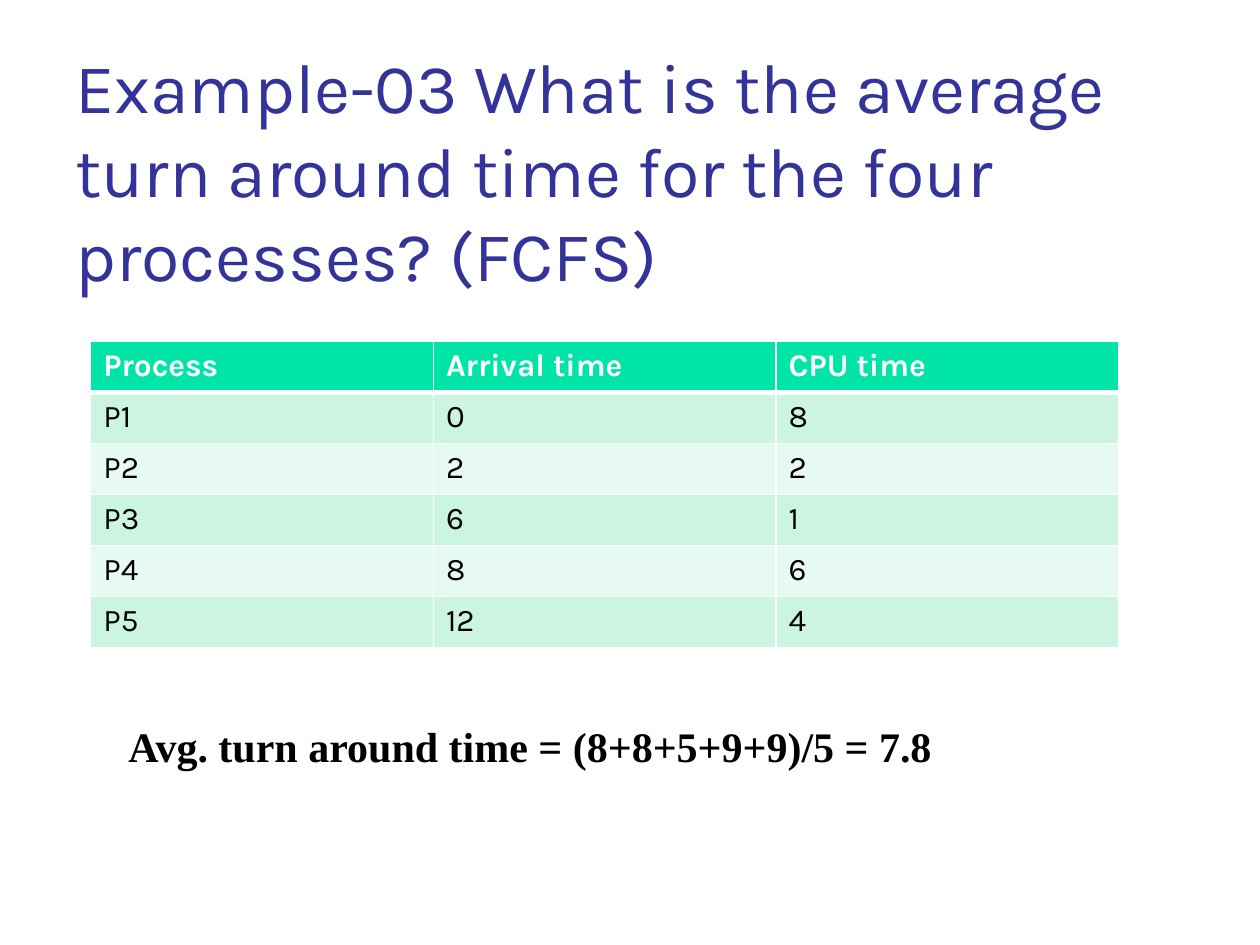
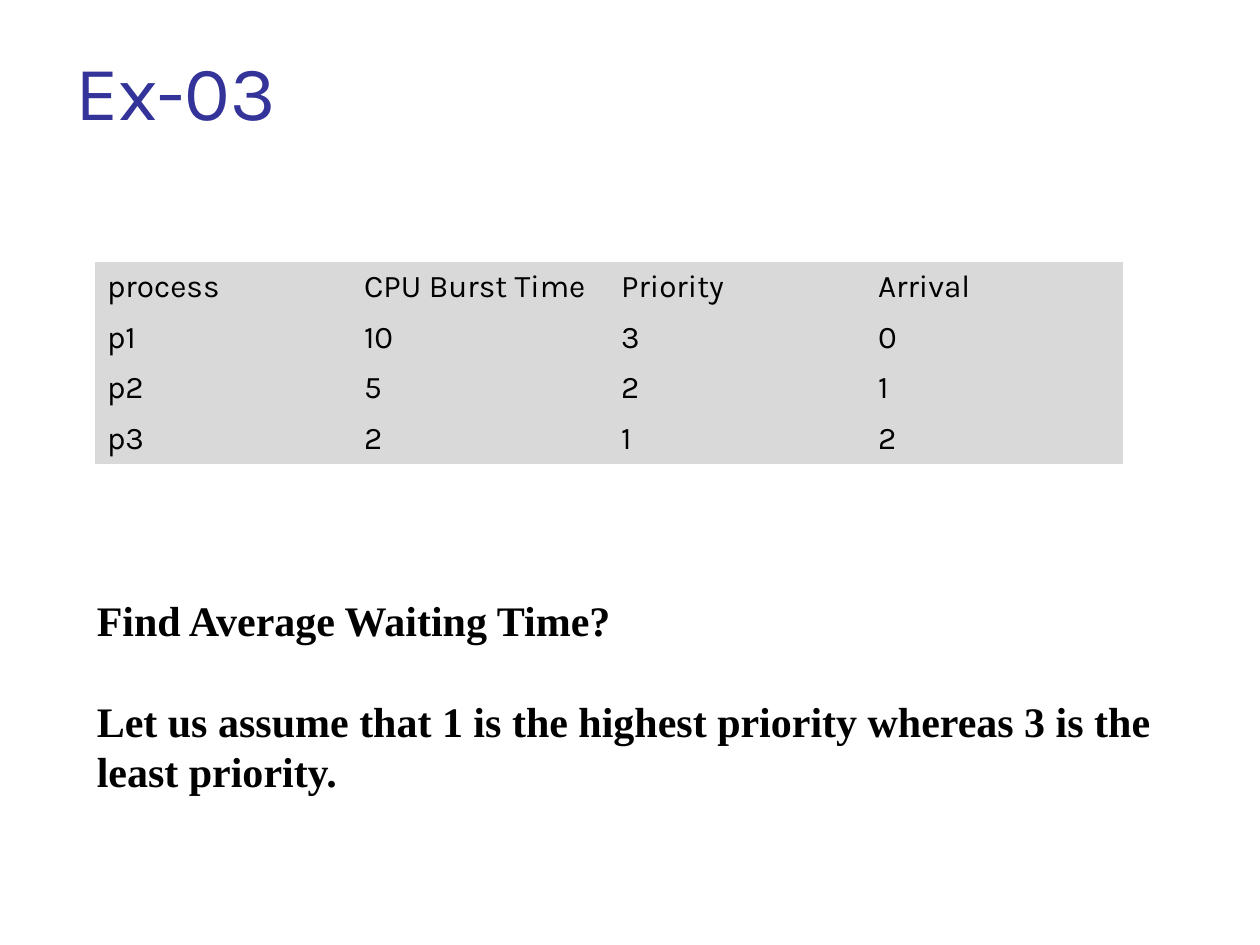
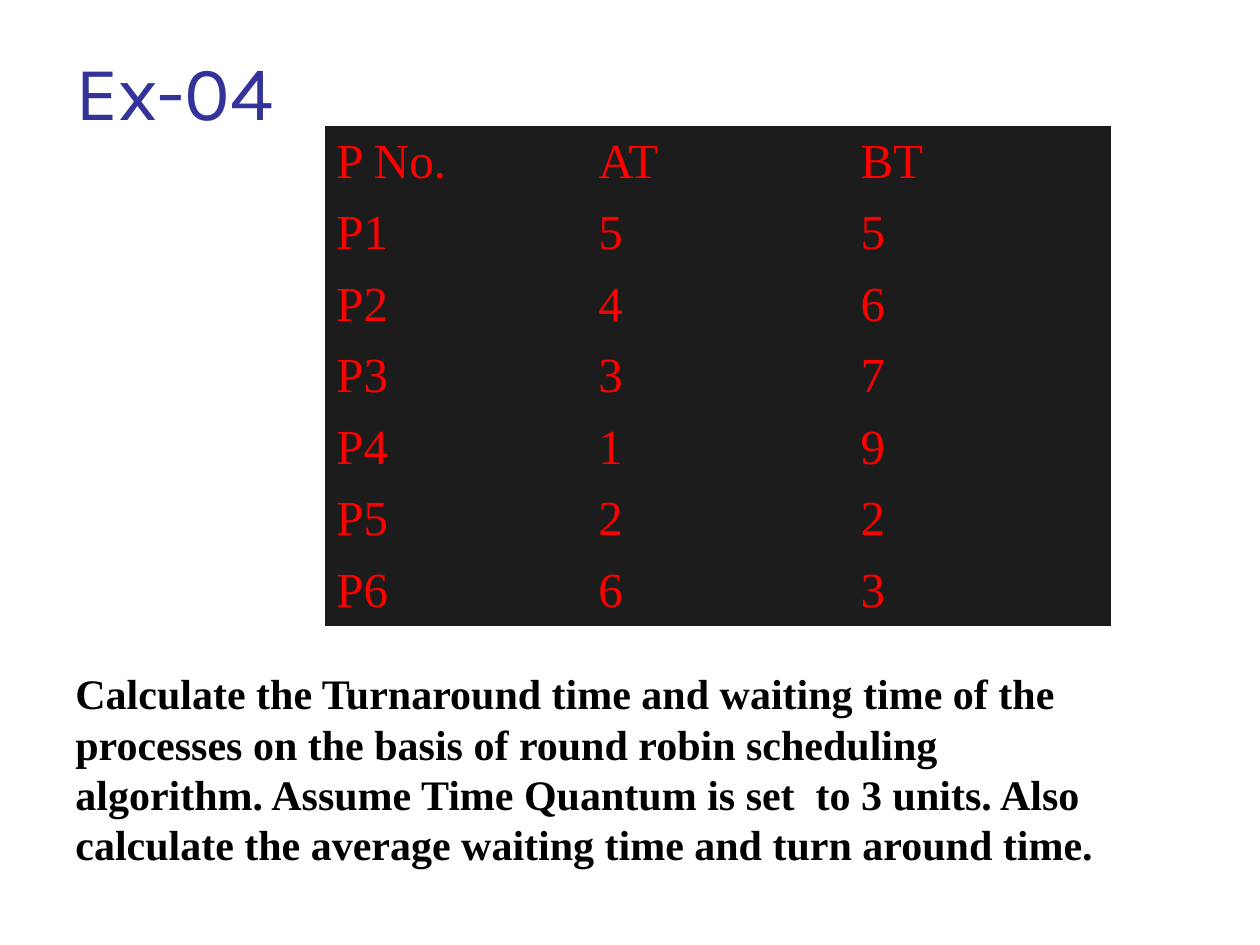
from dataclasses import dataclass

from lxml import etree
from pptx import Presentation
from pptx.dml.color import RGBColor
from pptx.enum.text import MSO_ANCHOR
from pptx.oxml.ns import qn
from pptx.util import Inches, Pt

TOP = MSO_ANCHOR.TOP
MIDDLE = MSO_ANCHOR.MIDDLE
BLANK_LAYOUT = 6
NO_GRID_STYLE = "{2D5ABB26-0587-4C30-8999-92F81FD0307C}"


@dataclass(frozen=True)
class Theme:
    """Fonts, colours and type sizes shared by the slides."""

    sans: str = "Karla"
    serif: str = "Times New Roman"
    title: str = "333399"
    text: str = "000000"
    white: str = "FFFFFF"
    red: str = "FF0000"
    header: str = "00E4A8"
    bands: tuple = ("CBF5E1", "E7FAF1")
    grey: str = "D9D9D9"
    dark: str = "1C1C1C"
    title_size: int = 44
    long_title_size: int = 40
    table_size: int = 18
    large_table_size: int = 28
    body_size: int = 24


THEME = Theme()


@dataclass(frozen=True)
class TableStyle:
    """Look of the cells in one table."""

    fills: tuple
    header_fill: str
    color: str = THEME.text
    header_color: str = THEME.text
    header_bold: bool = False
    font: str = THEME.sans
    size: int = THEME.table_size
    anchor: int = MIDDLE
    side_margin: float = 0.1
    ruled: bool = False


BANDED = TableStyle(THEME.bands, THEME.header, header_color=THEME.white,
                    header_bold=True, anchor=TOP, ruled=True)
PLAIN = TableStyle((THEME.grey,), THEME.grey)
DARK = TableStyle((THEME.dark,), THEME.dark, THEME.red, THEME.red,
                  font=THEME.serif, size=THEME.large_table_size, side_margin=0.09)


def format_runs(paragraph, font, size, color, bold=False):
    """Apply one character format to every run of a paragraph."""
    for run in paragraph.runs:
        run.font.name = font
        run.font.size = Pt(size)
        run.font.bold = bold
        run.font.color.rgb = RGBColor.from_string(color)


def add_text(slide, text, box, font, size, color, bold=False, gap=0):
    """Add a wrapping text box whose later paragraphs follow a gap."""
    shape = slide.shapes.add_textbox(*map(Inches, box))
    text_frame = shape.text_frame
    text_frame.word_wrap = True
    text_frame.vertical_anchor = TOP
    text_frame.text = text
    for index, paragraph in enumerate(text_frame.paragraphs):
        format_runs(paragraph, font, size, color, bold)
        if index:
            paragraph.space_before = Pt(gap)


def add_title(slide, text, size=THEME.title_size):
    """Add the slide title."""
    add_text(slide, text, (0.5, 0.3, 9, 1.25), THEME.sans, size, THEME.title)


def add_body(slide, text, box):
    """Add bold body text with one line of space between paragraphs."""
    add_text(slide, text, box, THEME.serif, THEME.body_size, THEME.text,
             bold=True, gap=THEME.body_size * 1.2)


def add_border(cell, side, width):
    """Draw a white border on one side of a cell."""
    properties = cell._tc.get_or_add_tcPr()
    line = etree.SubElement(properties, qn(f"a:ln{side}"), w=str(Pt(width)))
    fill = etree.SubElement(line, qn("a:solidFill"))
    etree.SubElement(fill, qn("a:srgbClr"), val=THEME.white)


def add_cell_borders(cell, row_index):
    """Rule a cell, with a heavier line under the header."""
    widths = {"L": 1, "R": 1, "T": 3 if row_index == 1 else 1,
              "B": 3 if row_index == 0 else 1}
    for side, width in widths.items():
        add_border(cell, side, width)


def format_cell(cell, text, row_index, style):
    """Fill in and style one table cell."""
    is_header = row_index == 0
    cell.text = text
    cell.vertical_anchor = style.anchor
    cell.margin_left = cell.margin_right = Inches(style.side_margin)
    cell.margin_top = cell.margin_bottom = Inches(0.05)
    if style.ruled:
        add_cell_borders(cell, row_index)
    fill = style.header_fill if is_header else style.fills[(row_index - 1) % len(style.fills)]
    cell.fill.solid()
    cell.fill.fore_color.rgb = RGBColor.from_string(fill)
    format_runs(cell.text_frame.paragraphs[0], style.font, style.size,
                style.header_color if is_header else style.color,
                is_header and style.header_bold)


def add_data_table(slide, rows, left, top, column_width, row_height, style):
    """Add a table with equal columns and equal rows."""
    column_count = len(rows[0])
    frame = slide.shapes.add_table(
        len(rows), column_count, Inches(left), Inches(top),
        Inches(column_width * column_count), Inches(row_height * len(rows)))
    table = frame.table
    table.first_row = style.header_bold
    table.horz_banding = False
    for style_id in frame.element.iter(qn("a:tableStyleId")):
        style_id.text = NO_GRID_STYLE
    for column in table.columns:
        column.width = Inches(column_width)
    for row_index, values in enumerate(rows):
        table.rows[row_index].height = Inches(row_height)
        for column_index, value in enumerate(values):
            format_cell(table.cell(row_index, column_index), value, row_index, style)


def add_turnaround_slide(slide):
    """Build the average turn around time example."""
    add_title(slide, "Example-03 What is the average turn around time for the four "
                     "processes? (FCFS)", THEME.long_title_size)
    rows = [
        ("Process", "Arrival time", "CPU time"),
        ("P1", "0", "8"),
        ("P2", "2", "2"),
        ("P3", "6", "1"),
        ("P4", "8", "6"),
        ("P5", "12", "4"),
    ]
    add_data_table(slide, rows, 0.72, 2.71, 2.72, 0.405, BANDED)
    add_body(slide, "Avg. turn around time = (8+8+5+9+9)/5 = 7.8", (0.92, 5.67, 7.08, 0.4))


def add_priority_slide(slide):
    """Build the priority scheduling exercise."""
    add_title(slide, "Ex-03")
    rows = [
        ("process", "CPU Burst Time", "Priority", "Arrival"),
        ("p1", "10", "3", "0"),
        ("p2", "5", "2", "1"),
        ("p3", "2", "1", "2"),
    ]
    add_data_table(slide, rows, 0.75, 2.08, 2.04, 0.4, PLAIN)
    add_body(slide, "Find Average Waiting Time?\nLet us assume that 1 is the highest "
                    "priority whereas 3 is the least priority.", (0.67, 4.67, 8.67, 1.01))


def add_round_robin_slide(slide):
    """Build the round robin exercise."""
    add_title(slide, "Ex-04")
    rows = [
        ("P No.", "AT", "BT"),
        ("P1", "5", "5"),
        ("P2", "4", "6"),
        ("P3", "3", "7"),
        ("P4", "1", "9"),
        ("P5", "2", "2"),
        ("P6", "6", "3"),
    ]
    add_data_table(slide, rows, 2.58, 1, 2.08, 0.56, DARK)
    add_body(slide, "Calculate the Turnaround time and waiting time of the processes on "
                    "the basis of round robin scheduling algorithm. Assume Time Quantum "
                    "is set  to 3 units. Also calculate the average waiting time and "
                    "turn around time.", (0.5, 5.25, 8.42, 1.31))


def main():
    """Build and save the presentation."""
    presentation = Presentation()
    presentation.slide_width = Inches(10)
    presentation.slide_height = Inches(7.5)
    for build in (add_turnaround_slide, add_priority_slide, add_round_robin_slide):
        build(presentation.slides.add_slide(presentation.slide_layouts[BLANK_LAYOUT]))
    presentation.save("out.pptx")


if __name__ == "__main__":
    main()
